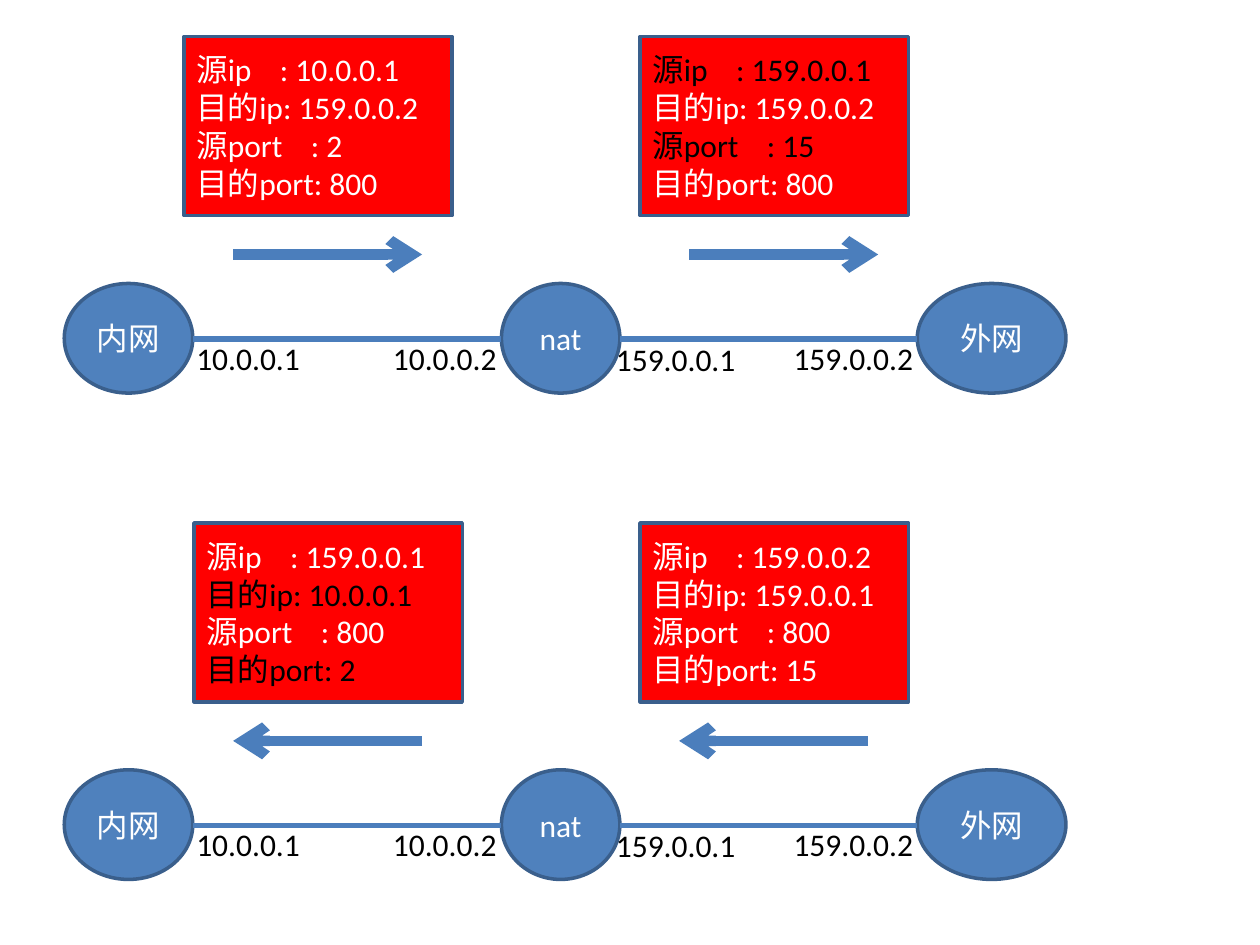
from lxml import etree
from pptx import Presentation
from pptx.dml.color import RGBColor
from pptx.enum.shapes import MSO_CONNECTOR, MSO_SHAPE
from pptx.enum.text import MSO_ANCHOR, MSO_AUTO_SIZE, PP_ALIGN
from pptx.oxml.ns import qn
from pptx.util import Inches, Pt

STRAIGHT = MSO_CONNECTOR.STRAIGHT
OVAL, RECTANGLE = MSO_SHAPE.OVAL, MSO_SHAPE.RECTANGLE
MIDDLE, FIT_SHAPE = MSO_ANCHOR.MIDDLE, MSO_AUTO_SIZE.SHAPE_TO_FIT_TEXT
LEFT, CENTER = PP_ALIGN.LEFT, PP_ALIGN.CENTER

BLUE = RGBColor(0x4F, 0x81, 0xBD)
OUTLINE = RGBColor(0x3A, 0x5F, 0x8C)
LINK = RGBColor(0x4B, 0x7E, 0xBC)
RED = RGBColor(0xFF, 0, 0)
WHITE = RGBColor(0xFF, 0xFF, 0xFF)
BLACK = RGBColor(0, 0, 0)

# Network parts, shared by both directions: (left, width, name)
NODES = [(0.51, 1.02, "内网"), (3.98, 0.94, "nat"), (7.28, 1.18, "外网")]
# (left, drop below the band top, width, address)
ADDRESSES = [(3.02, 2.35, 1.03, "10.0.0.2"), (1.46, 2.35, 1.03, "10.0.0.1"),
             (4.79, 2.36, 1.16, "159.0.0.1"), (6.2, 2.35, 1.16, "159.0.0.2")]
FIELDS = ["源ip    : ", "目的ip: ", "源port    : ", "目的port: "]

# Band top, then packets: (left, field values, translated fields), then
# arrows: (from, to)
OUTBOUND = (0.29,
            [(1.46, ["10.0.0.1", "159.0.0.2", "2", "800"], ()),
             (5.08, ["159.0.0.1", "159.0.0.2", "15", "800"], (0, 2))],
            [(1.85, 3.35), (5.47, 6.97)])
INBOUND = (4.15,
           [(1.54, ["159.0.0.1", "10.0.0.1", "800", "2"], (1, 3)),
            (5.08, ["159.0.0.2", "159.0.0.1", "800", "15"], ())],
           [(3.35, 1.85), (6.89, 5.39)])


def write_line(paragraph, text, color, align):
    paragraph.text = text
    paragraph.alignment = align
    font = paragraph.runs[0].font
    font.name, font.size = "Calibri", Pt(18)
    font.color.rgb = color


def add_block(slide, kind, left, top, width, height, fill):
    block = slide.shapes.add_shape(kind, Inches(left), Inches(top),
                                   Inches(width), Inches(height))
    block.shadow.inherit = False
    block.fill.solid()
    block.fill.fore_color.rgb = fill
    block.line.color.rgb = OUTLINE
    block.line.width = Pt(2)
    block.text_frame.vertical_anchor = MIDDLE
    return block.text_frame


def add_line(slide, start, end, y, weight, arrow=False):
    line = slide.shapes.add_connector(STRAIGHT, Inches(start), Inches(y),
                                      Inches(end), Inches(y))
    line.line.color.rgb = LINK
    line.line.width = Pt(weight)
    if arrow:
        etree.SubElement(line.line._get_or_add_ln(), qn("a:tailEnd"), type="arrow")
    etree.SubElement(line._element.spPr, qn("a:effectLst"))


def add_network(slide, top):
    # Nodes and the links between neighbours
    for left, width, name in NODES:
        frame = add_block(slide, OVAL, left, top + 1.96, width, 0.87, BLUE)
        write_line(frame.paragraphs[0], name, WHITE, CENTER)
    for (left, width, _), (next_left, _, _) in zip(NODES, NODES[1:]):
        add_line(slide, left + width, next_left, top + 2.4, 3)

    # Interface addresses
    for left, drop, width, address in ADDRESSES:
        label = slide.shapes.add_textbox(Inches(left), Inches(top + drop),
                                         Inches(width), Inches(0.4))
        label.text_frame.word_wrap = False
        label.text_frame.auto_size = FIT_SHAPE
        write_line(label.text_frame.paragraphs[0], address, BLACK, LEFT)


def add_packet(slide, left, top, values, translated):
    frame = add_block(slide, RECTANGLE, left, top, 2.13, 1.42, RED)
    for i, (field, value) in enumerate(zip(FIELDS, values)):
        paragraph = frame.add_paragraph() if i else frame.paragraphs[0]
        write_line(paragraph, field + value,
                   BLACK if i in translated else WHITE, LEFT)


def add_direction(slide, top, packets, arrows):
    add_network(slide, top)
    for left, values, translated in packets:
        add_packet(slide, left, top, values, translated)
    for start, end in arrows:
        add_line(slide, start, end, top + 1.73, 6, arrow=True)


presentation = Presentation()
presentation.slide_width, presentation.slide_height = Inches(10), Inches(7.5)
nat_slide = presentation.slides.add_slide(presentation.slide_layouts[6])
for direction in (OUTBOUND, INBOUND):
    add_direction(nat_slide, *direction)
presentation.save("out.pptx")
